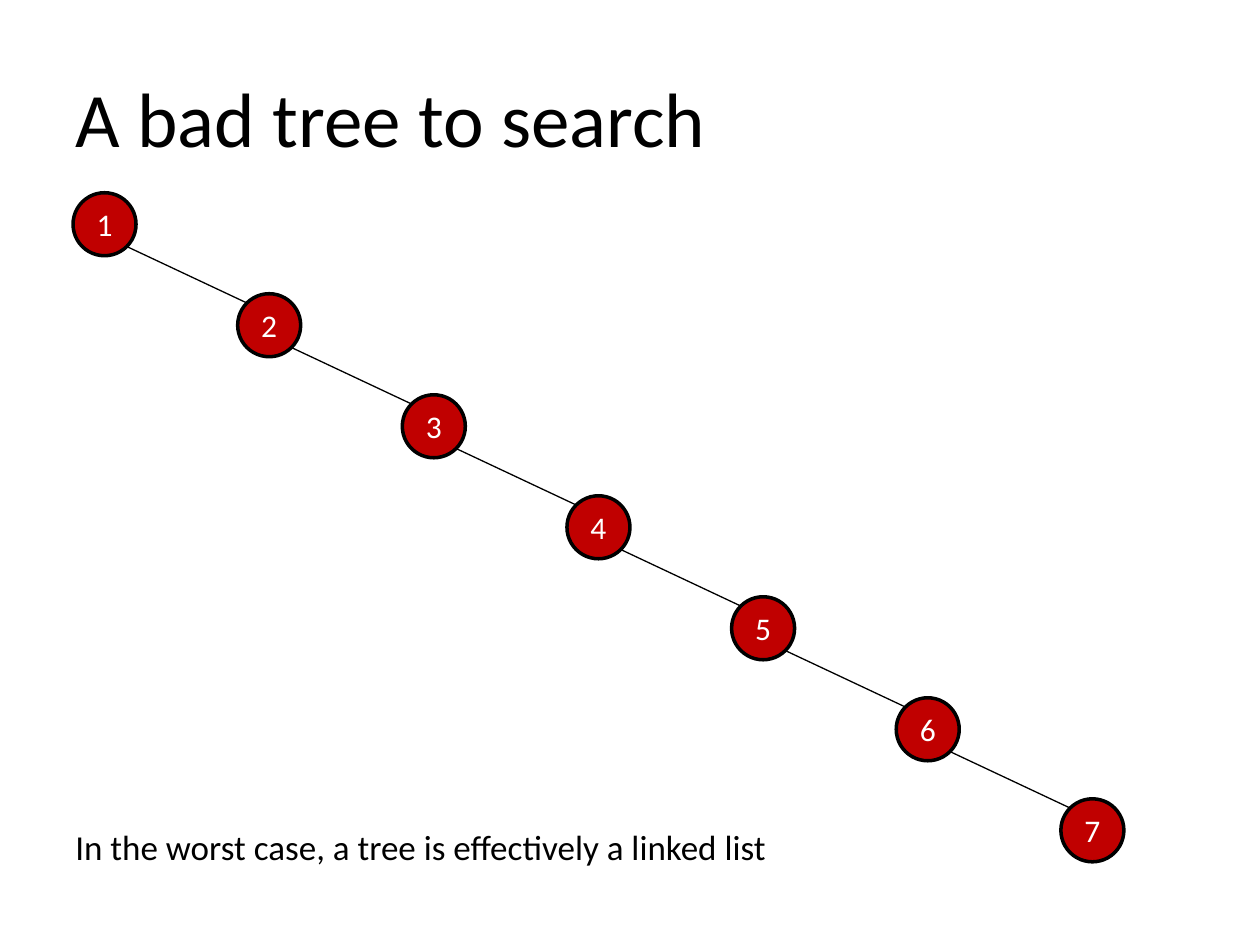
import math
from dataclasses import dataclass

import pptx
import pptx.dml.color
import pptx.enum.shapes
import pptx.enum.text
import pptx.oxml
import pptx.oxml.ns
import pptx.util
from pptx.util import Inches

TITLE = "A bad tree to search"
CAPTION = "In the worst case, a tree is effectively a linked list"
KEYS = [1, 2, 3, 4, 5, 6, 7]

FIRST_NODE = (0.58, 1.53)
LAST_NODE = (8.42, 6.34)
DIAMETER = 0.5


@dataclass(frozen=True)
class Theme:
    """Colours, font and sizes in points."""
    ink: str = "000000"
    node: str = "C00000"
    node_text: str = "FFFFFF"
    font: str = "Calibri"
    title_size: float = 44
    caption_size: float = 20
    node_size: float = 18
    outline: float = 2
    edge: float = 0.75


THEME = Theme()


def colour(value):
    """Turn a hex string into a colour."""
    return pptx.dml.color.RGBColor.from_string(value)


def write(shape, text, size, ink, align, anchor):
    """Put one formatted paragraph into a shape."""
    frame = shape.text_frame
    frame.text = text
    frame.vertical_anchor = anchor
    para = frame.paragraphs[0]
    para.alignment = align
    para.font.name = THEME.font
    para.font.size = pptx.util.Pt(size)
    para.font.color.rgb = colour(ink)


def add_edge(page, parent, child):
    """Draw a line from a node's lower right to its child's upper left."""
    near = DIAMETER / 2 * (1 - math.sqrt(0.5))
    far = DIAMETER - near
    ends = [parent[0] + far, parent[1] + far, child[0] + near, child[1] + near]
    edge = page.shapes.add_connector(
        pptx.enum.shapes.MSO_CONNECTOR.STRAIGHT, *map(Inches, ends))
    edge.line.color.rgb = colour(THEME.ink)
    edge.line.width = pptx.util.Pt(THEME.edge)
    edge._element.spPr.append(pptx.oxml.parse_xml(
        "<a:effectLst %s/>" % pptx.oxml.ns.nsdecls("a")))


def add_node(page, key, place):
    """Draw one tree node with its key."""
    node = page.shapes.add_shape(
        pptx.enum.shapes.MSO_SHAPE.OVAL,
        *map(Inches, (*place, DIAMETER, DIAMETER)))
    node.shadow.inherit = False
    node.fill.solid()
    node.fill.fore_color.rgb = colour(THEME.node)
    node.line.color.rgb = colour(THEME.ink)
    node.line.width = pptx.util.Pt(THEME.outline)
    write(node, str(key), THEME.node_size, THEME.node_text,
          pptx.enum.text.PP_ALIGN.CENTER, pptx.enum.text.MSO_ANCHOR.MIDDLE)


def build():
    """Build and save the slide."""
    left = pptx.enum.text.PP_ALIGN.LEFT
    anchors = pptx.enum.text.MSO_ANCHOR
    deck = pptx.Presentation()
    deck.slide_width, deck.slide_height = Inches(10), Inches(7.5)
    page = deck.slides.add_slide(deck.slide_layouts.get_by_name("Title Only"))

    title = page.shapes.title
    title.left, title.top = Inches(0.5), Inches(0.3)
    title.width, title.height = Inches(9), Inches(1.25)
    write(title, TITLE, THEME.title_size, THEME.ink, left, anchors.MIDDLE)

    steps = len(KEYS) - 1
    places = [tuple(start + (end - start) * index / steps
                    for start, end in zip(FIRST_NODE, LAST_NODE))
              for index in range(len(KEYS))]
    for parent, child in zip(places, places[1:]):
        add_edge(page, parent, child)
    for key, place in zip(KEYS, places):
        add_node(page, key, place)

    caption = page.shapes.add_textbox(
        Inches(0.5), Inches(6.5), Inches(5.75), Inches(0.44))
    caption.text_frame.word_wrap = False
    caption.text_frame.auto_size = pptx.enum.text.MSO_AUTO_SIZE.SHAPE_TO_FIT_TEXT
    write(caption, CAPTION, THEME.caption_size, THEME.ink, left, anchors.TOP)
    deck.save("out.pptx")


build()
